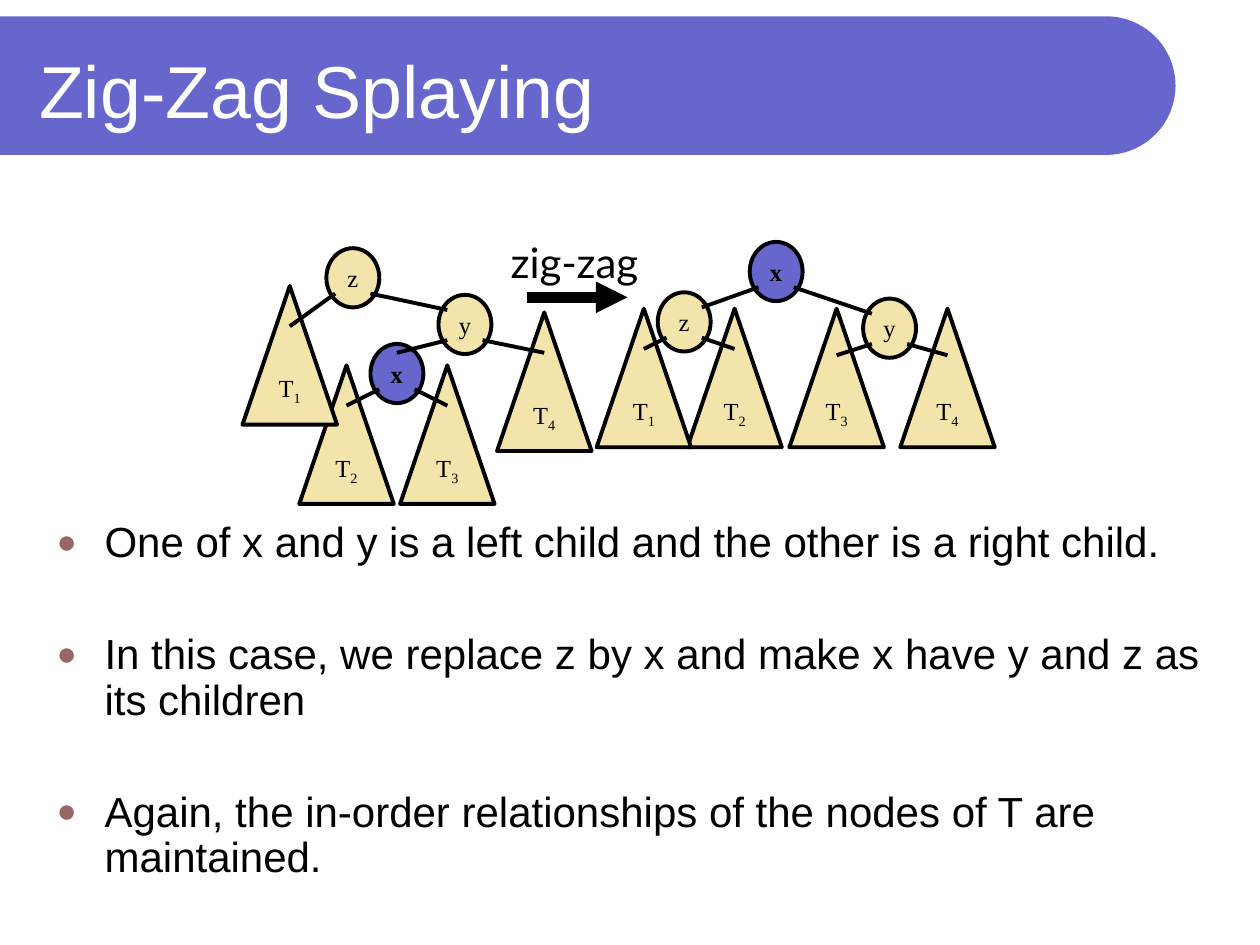
import math

import lxml.etree
import pptx
import pptx.dml.color
import pptx.enum.shapes
import pptx.enum.text
import pptx.oxml.ns
import pptx.util

Inches = pptx.util.Inches
Pt = pptx.util.Pt
RGB = pptx.dml.color.RGBColor
Shape = pptx.enum.shapes.MSO_SHAPE
Align = pptx.enum.text.PP_ALIGN
Anchor = pptx.enum.text.MSO_ANCHOR
Fit = pptx.enum.text.MSO_AUTO_SIZE
qn = pptx.oxml.ns.qn

BLUE = RGB(0x66, 0x66, 0xCC)
CREAM = RGB(0xF2, 0xE4, 0xAA)
BLACK = RGB(0, 0, 0)
WHITE = RGB(0xFF, 0xFF, 0xFF)
DOT = RGB(0x99, 0x66, 0x66)

HEAD = {"name": "Arial", "size": Pt(42)}
ITEM = {"name": "Arial", "size": Pt(24)}
NOTE = {"name": "Lato", "size": Pt(24)}
MARK = {"name": "Times New Roman", "size": Pt(14)}


def style(font, color, form):
    for key, val in form.items():
        setattr(font, key, val)
    font.color.rgb = color


def link(start, end, width):
    """Draw a black straight line between two points."""
    line = shapes.add_connector(
        pptx.enum.shapes.MSO_CONNECTOR.STRAIGHT, *map(Inches, start + end))
    line.line.color.rgb = BLACK
    line.line.width = Pt(width)
    lxml.etree.SubElement(line.element.spPr, qn("a:effectLst"))
    return line


deck = pptx.Presentation()
deck.slide_width, deck.slide_height = Inches(10), Inches(7.5)
slide = deck.slides.add_slide(deck.slide_layouts[1])
shapes = slide.shapes
title, body = slide.placeholders

# Banner with a round right end, behind the title
mid, rad, edge = 0.68, 0.55, 8.78
arc = [(edge + rad * math.cos(a), mid + rad * math.sin(a))
       for a in (math.radians(d) for d in range(-90, 91, 3))]
pen = shapes.build_freeform(0, Inches(mid - rad))
pen.add_line_segments(
    [(Inches(x), Inches(y)) for x, y in arc] + [(0, Inches(mid + rad))])
banner = pen.convert_to_shape()
banner.shadow.inherit = False
banner.fill.solid()
banner.fill.fore_color.rgb = BLUE
banner.line.fill.background()
shapes.element.insert(2, banner.element)

# Title and list
for holder, box, anchor in (
    (title, (0.21, 0.21, 8.77, 1), Anchor.MIDDLE),
    (body, (0.35, 4.09, 9.29, 3.05), Anchor.TOP),
):
    holder.left, holder.top, holder.width, holder.height = map(Inches, box)
    holder.text_frame.auto_size = Fit.NONE
    holder.text_frame.vertical_anchor = anchor

title.text_frame.text = "Zig-Zag Splaying"
para = title.text_frame.paragraphs[0]
para.alignment = Align.LEFT
style(para.runs[0].font, WHITE, HEAD)

points = (
    "One of x and y is a left child and the other is a right child.",
    "In this case, we replace z by x and make x have y and z as its children",
    "Again, the in-order relationships of the nodes of T are maintained.",
)
body.text_frame.text = "\n".join(points)
for i, para in enumerate(body.text_frame.paragraphs):
    para.line_spacing = 0.9
    para.space_before = Pt(38 if i else 0)
    props = para._p.get_or_add_pPr()
    props.set("marL", str(Inches(0.38)))
    props.set("indent", str(Inches(-0.38)))
    tint = lxml.etree.SubElement(props, qn("a:buClr"))
    lxml.etree.SubElement(tint, qn("a:srgbClr"), val=str(DOT))
    lxml.etree.SubElement(props, qn("a:buSzPct"), val="80000")
    lxml.etree.SubElement(props, qn("a:buFont"), typeface="Arial")
    lxml.etree.SubElement(props, qn("a:buChar"), char="●")
    style(para.runs[0].font, BLACK, ITEM)

# Each tree: its root, the children of each node (left, right),
# and the top middle point of each node and of subtrees T1 to T4
before = {
    "root": "z",
    "kids": {"z": ("T1", "y"), "y": ("x", "T4"), "x": ("T2", "T3")},
    "nodes": {"z": (2.8, 1.97), "y": (3.69, 2.34), "x": (3.15, 2.73)},
    "leaves": [(2.3, 2.27), (2.75, 2.9), (3.55, 2.9), (4.32, 2.48)],
}
after = {
    "root": "x",
    "kids": {"x": ("z", "y"), "z": ("T1", "T2"), "y": ("T3", "T4")},
    "nodes": {"x": (6.16, 1.92), "z": (5.43, 2.32), "y": (7.06, 2.37)},
    "leaves": [(m, 2.45) for m in (5.11, 5.83, 6.64, 7.52)],
}
ORDER = ("y", "x", "T2", "T3", "T4", "z", "T1")  # back to front
LEAF = (0.75, 1.1)
NODE = (0.42, 0.47)
SIDE = 0.14  # from a node's middle to where its lines meet it
LOW, HIGH = 0.36, 0.12  # below a node's top: lines leave, lines arrive
CROWN = 0.07  # arrival depth at the top middle of a deep node
DIP = 0.32  # how far a line goes into a subtree
FALL = 0.09  # least drop of a line to a subtree

for tree in (before, after):
    spots = dict(tree["nodes"])
    for i, spot in enumerate(tree["leaves"], 1):
        spots[f"T{i}"] = spot

    for name in ORDER:
        leaf = name not in tree["kids"]
        kind = Shape.ISOSCELES_TRIANGLE if leaf else Shape.OVAL
        wide, high = LEAF if leaf else NODE
        mid, top = spots[name]
        node = shapes.add_shape(
            kind, *map(Inches, (mid - wide / 2, top, wide, high)))
        node.shadow.inherit = False
        node.fill.solid()
        node.fill.fore_color.rgb = BLUE if name == "x" else CREAM
        node.line.color.rgb = BLACK
        node.line.width = Pt(2.25)
        frame = node.text_frame
        frame.word_wrap = False
        frame.vertical_anchor = Anchor.MIDDLE
        para = frame.paragraphs[0]
        para.alignment = Align.CENTER
        for char in name:
            run = para.add_run()
            run.text = char
            style(run.font, BLACK, {**MARK, "bold": name == "x"})
            if char.isdigit():
                run.font._element.set("baseline", "-25000")

    for name, pair in tree["kids"].items():
        mid, top = spots[name]
        for kid, way in zip(pair, (-1, 1)):
            start = (mid + way * SIDE, top + LOW)
            x, y = spots[kid]
            if kid not in tree["kids"]:
                end = (x, max(y + DIP, start[1] + FALL))
            elif name == tree["root"]:
                end = (x - way * SIDE, y + HIGH)
            else:
                end = (x, y + CROWN)
            link(start, end, 2.25)

# Step arrow and its caption
arrow = link((4.18, 2.36), (4.98, 2.36), 6)
lxml.etree.SubElement(arrow.line._get_or_add_ln(), qn("a:tailEnd"),
                      type="triangle")
note = shapes.add_textbox(*map(Inches, (3.91, 1.83, 1.3, 0.5)))
note.text_frame.word_wrap = False
note.text_frame.vertical_anchor = Anchor.MIDDLE
para = note.text_frame.paragraphs[0]
para.text = "zig-zag"
para.alignment = Align.CENTER
style(para.runs[0].font, BLACK, NOTE)

deck.save("out.pptx")
